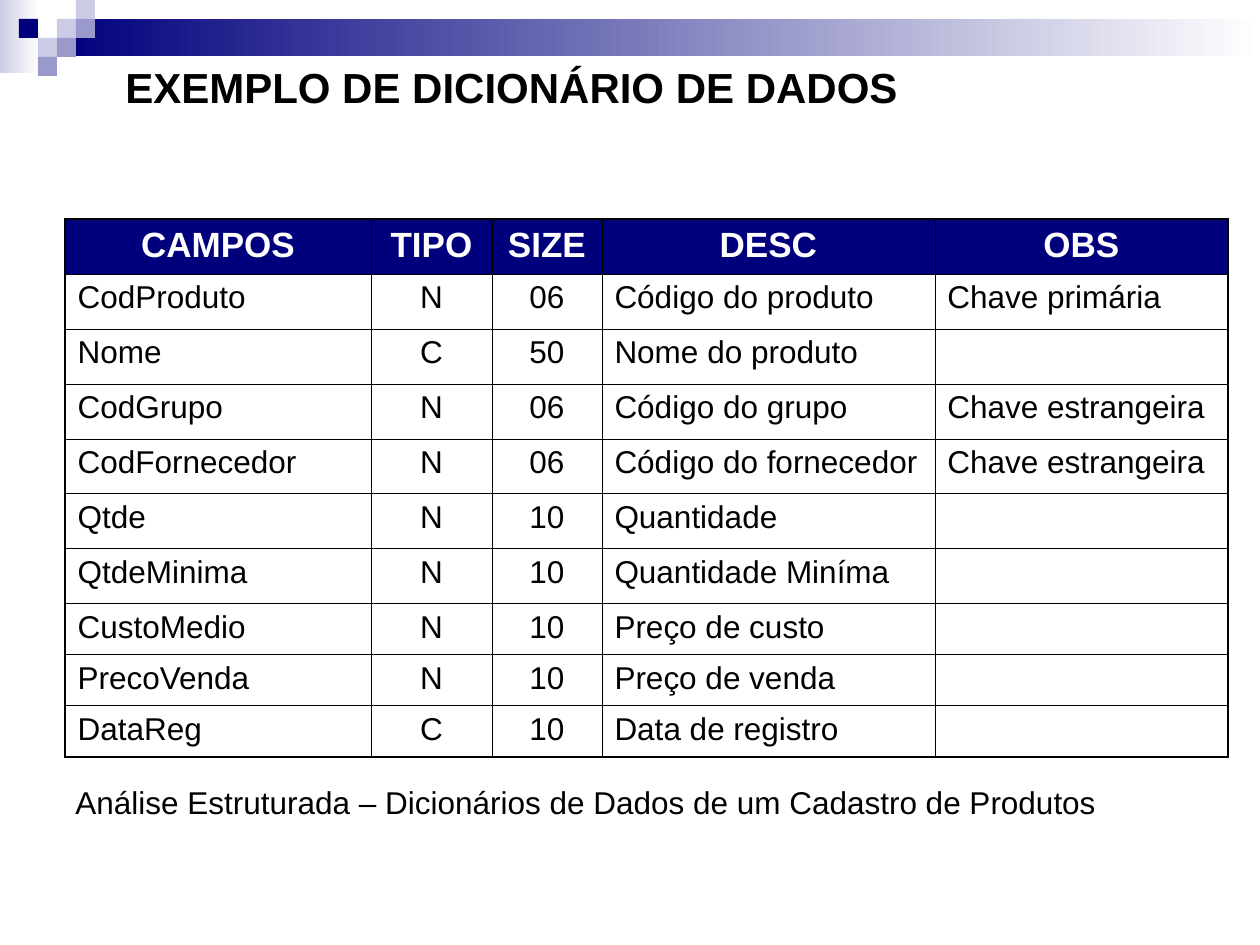
from pptx import Presentation
from pptx.dml.color import RGBColor
from pptx.enum.shapes import MSO_SHAPE
from pptx.enum.text import MSO_ANCHOR, PP_ALIGN
from pptx.oxml.ns import qn
from pptx.util import Emu, Pt
from lxml import etree

RECT = MSO_SHAPE.RECTANGLE
LEFT, CENTER = PP_ALIGN.LEFT, PP_ALIGN.CENTER
TOP, BOTTOM = MSO_ANCHOR.TOP, MSO_ANCHOR.BOTTOM

NAVY = RGBColor(0x00, 0x00, 0x7D)
LILAC = RGBColor(0xCC, 0xCC, 0xE6)
MAUVE = RGBColor(0x99, 0x99, 0xCC)
WHITE = RGBColor(0xFF, 0xFF, 0xFF)
BLACK = RGBColor(0x00, 0x00, 0x00)

FONT = "Arial"
THIN, THICK = 0.45, 1.08
TILE = 19
# column, row and colour of each tile in the corner
TILES = [
    (3, 1, LILAC), (4, 0, LILAC), (4, 1, MAUVE), (2, 2, LILAC),
    (1, 1, NAVY), (3, 2, MAUVE), (2, 3, MAUVE),
]

COLS = [306, 121, 110, 333, 293]
ROWS = [55] * 7 + [51] * 3
ALIGNS = [LEFT, CENTER, CENTER, LEFT, LEFT]
DATA = [
    ("CAMPOS", "TIPO", "SIZE", "DESC", "OBS"),
    ("CodProduto", "N", "06", "Código do produto", "Chave primária"),
    ("Nome", "C", "50", "Nome do produto", ""),
    ("CodGrupo", "N", "06", "Código do grupo", "Chave estrangeira"),
    ("CodFornecedor", "N", "06", "Código do fornecedor", "Chave estrangeira"),
    ("Qtde", "N", "10", "Quantidade", ""),
    ("QtdeMinima", "N", "10", "Quantidade Miníma", ""),
    ("CustoMedio", "N", "10", "Preço de custo", ""),
    ("PrecoVenda", "N", "10", "Preço de venda", ""),
    ("DataReg", "C", "10", "Data de registro", ""),
]


def px(n):
    return Emu(round(n * 914400 / 126))


def add_rect(slide, x, y, w, h, *colors):
    """Draw a plain box; two colours make a left-to-right gradient."""
    box = slide.shapes.add_shape(RECT, px(x), px(y), px(w), px(h))
    box.shadow.inherit = False
    box.line.fill.background()
    if len(colors) == 1:
        box.fill.solid()
        box.fill.fore_color.rgb = colors[0]
        return
    box.fill.gradient()
    box.fill.gradient_angle = 0
    for stop, color in zip(box.fill.gradient_stops, colors):
        stop.color.rgb = color


def set_text(para, text, size, color=BLACK, bold=False, align=LEFT):
    para.text = text
    para.alignment = align
    font = para.font
    font.name, font.size, font.bold = FONT, Pt(size), bold
    font.color.rgb = color


def add_text(slide, x, y, w, h, text, size, bold=False, anchor=TOP, foot=6):
    box = slide.shapes.add_textbox(px(x), px(y), px(w), px(h))
    frame = box.text_frame
    frame.word_wrap = True
    frame.vertical_anchor = anchor
    frame.margin_bottom = px(foot)
    set_text(frame.paragraphs[0], text, size, bold=bold)


def set_edges(cell, **widths):
    props = cell._tc.get_or_add_tcPr()
    for side, width in widths.items():
        line = etree.SubElement(props, qn(f"a:ln{side}"), w=str(Pt(width)))
        fill = etree.SubElement(line, qn("a:solidFill"))
        etree.SubElement(fill, qn("a:srgbClr"), val=str(BLACK))


def add_grid(slide, x, y):
    frame = slide.shapes.add_table(
        len(ROWS), len(COLS), px(x), px(y), px(sum(COLS)), px(sum(ROWS)))
    table = frame.table
    table.first_row = table.horz_banding = False
    for col, width in zip(table.columns, COLS):
        col.width = px(width)
    for row, height in zip(table.rows, ROWS):
        row.height = px(height)

    def weight(outer):
        return THICK if outer else THIN

    for r, texts in enumerate(DATA):
        for c, text in enumerate(texts):
            cell = table.cell(r, c)
            set_edges(cell, L=weight(c == 0), R=weight(c == len(COLS) - 1),
                      T=weight(r == 0), B=weight(r == len(ROWS) - 1))
            para = cell.text_frame.paragraphs[0]
            if r == 0:
                cell.fill.solid()
                cell.fill.fore_color.rgb = NAVY
                set_text(para, text, 20, WHITE, True, CENTER)
            else:
                cell.fill.background()
                set_text(para, text, 18, align=ALIGNS[c])


def main():
    deck = Presentation()
    deck.slide_width, deck.slide_height = px(1260), px(945)
    slide = deck.slides.add_slide(deck.slide_layouts[6])

    add_rect(slide, 0, 0, 39, 73, LILAC, WHITE)
    add_rect(slide, 57, 19, 1203, 37, NAVY, WHITE)
    for col, row, color in TILES:
        add_rect(slide, col * TILE, row * TILE, TILE, TILE, color)

    add_text(slide, 113, -24, 1134, 171, "EXEMPLO DE DICIONÁRIO DE DADOS",
             24, bold=True, anchor=BOTTOM, foot=35)
    add_text(slide, 63, 777, 1113, 126,
             "Análise Estruturada – Dicionários de Dados de um Cadastro de Produtos",
             18)
    add_grid(slide, 65, 219)
    deck.save("out.pptx")


if __name__ == "__main__":
    main()
